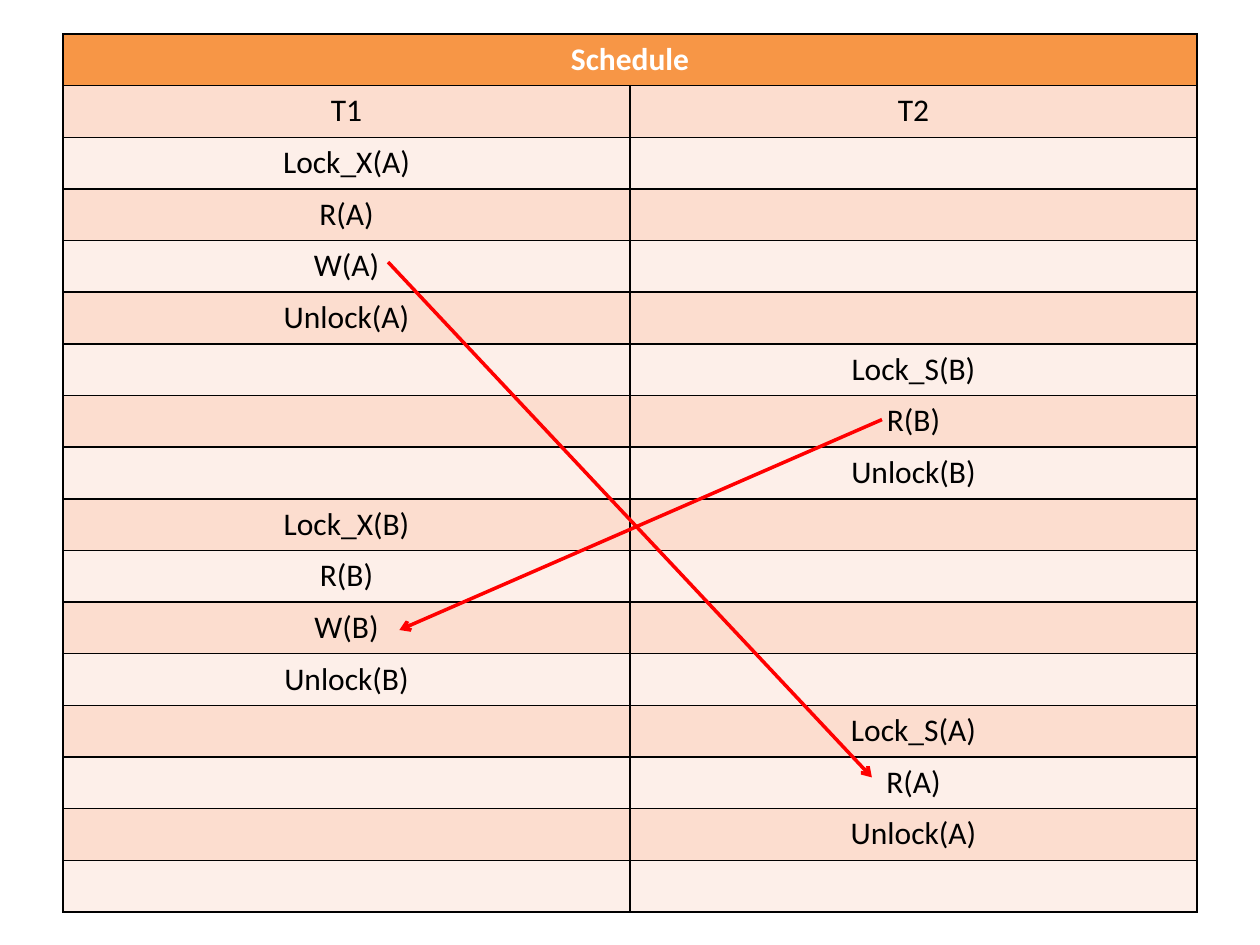
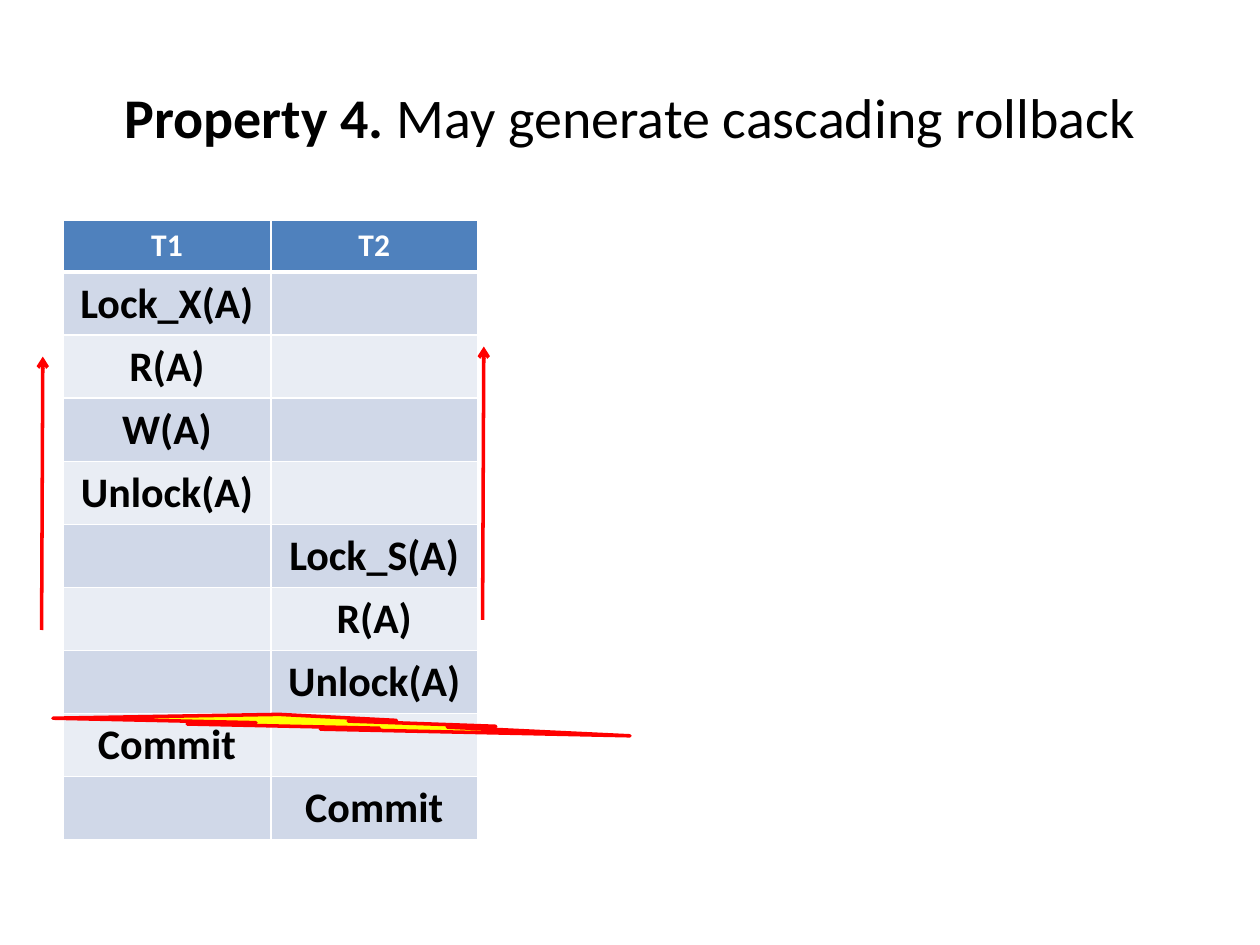
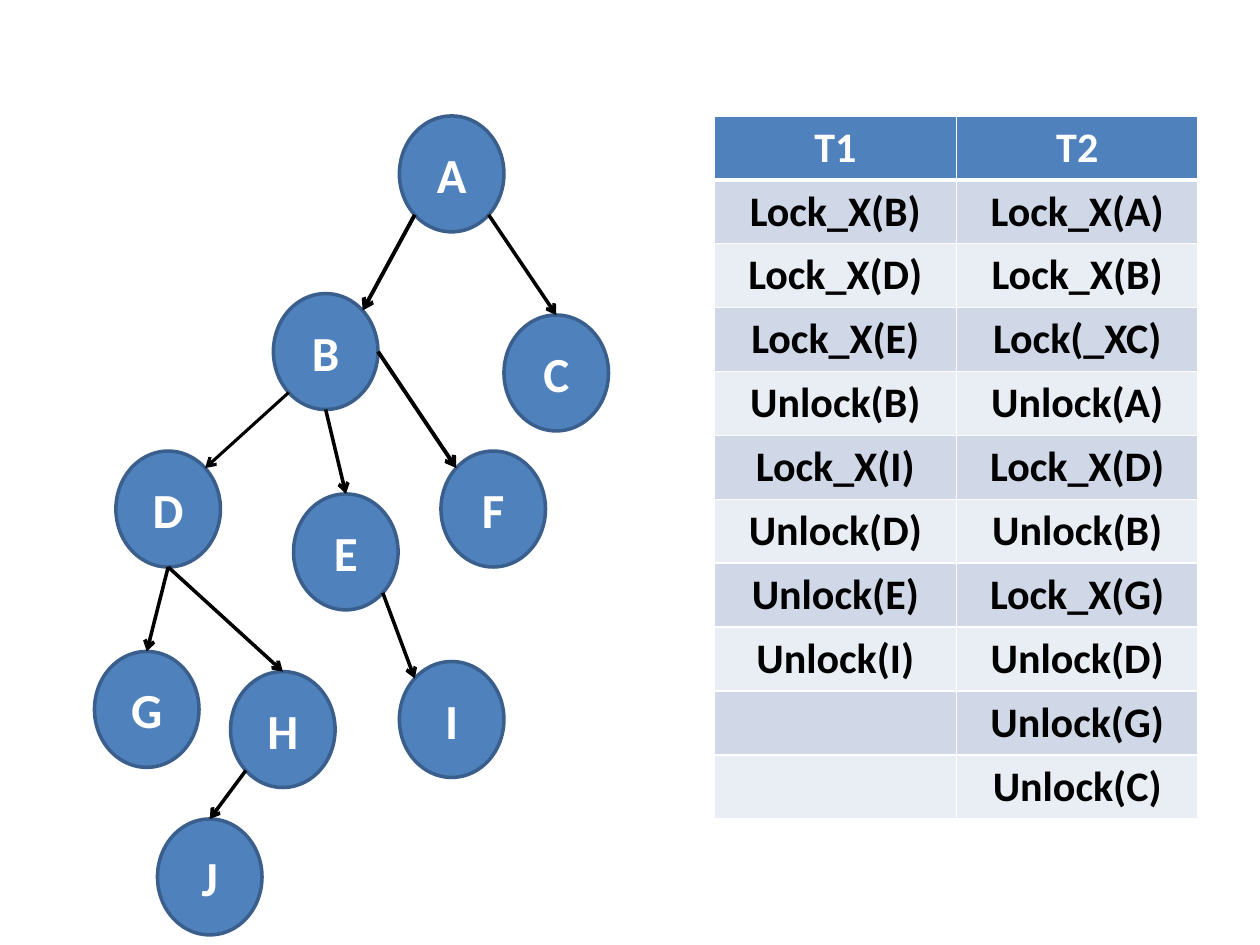
import math

import lxml.etree
import pptx
import pptx.dml.color
import pptx.enum.shapes
import pptx.enum.text
import pptx.oxml.ns
import pptx.util

Inches = pptx.util.Inches
Pt = pptx.util.Pt
Shape = pptx.enum.shapes.MSO_SHAPE
Anchor = pptx.enum.text.MSO_ANCHOR
qn = pptx.oxml.ns.qn

FONT = "Calibri"
COLORS = {
    "black": "000000",
    "white": "FFFFFF",
    "red": "FF0000",
    "yellow": "FFFF00",
    "blue": "4F81BD",
    "dark_blue": "3A5F8C",
    "blue_band": "D0D8E8",
    "blue_band_light": "E9EDF4",
    "orange": "F79646",
    "orange_band": "FCDDCF",
    "orange_band_light": "FDEFE9",
}

# Table looks: header fill, alternating body fills, border colour, line under header
ORANGE_TABLE = {"header": "orange", "bands": ("orange_band", "orange_band_light"),
                "border": "black", "header_line": 1, "bold": False}
BLUE_TABLE = {"header": "blue", "bands": ("blue_band", "blue_band_light"),
              "border": "white", "header_line": 3, "bold": True}

SCHEDULE = [
    ("Schedule", ""),
    ("T1", "T2"),
    ("Lock_X(A)", ""),
    ("R(A)", ""),
    ("W(A)", ""),
    ("Unlock(A)", ""),
    ("", "Lock_S(B)"),
    ("", "R(B)"),
    ("", "Unlock(B)"),
    ("Lock_X(B)", ""),
    ("R(B)", ""),
    ("W(B)", ""),
    ("Unlock(B)", ""),
    ("", "Lock_S(A)"),
    ("", "R(A)"),
    ("", "Unlock(A)"),
    ("", ""),
]
ROLLBACK = [
    ("T1", "T2"),
    ("Lock_X(A)", ""),
    ("R(A)", ""),
    ("W(A)", ""),
    ("Unlock(A)", ""),
    ("", "Lock_S(A)"),
    ("", "R(A)"),
    ("", "Unlock(A)"),
    ("Commit", ""),
    ("", "Commit"),
]
TREE_LOCKS = [
    ("T1", "T2"),
    ("Lock_X(B)", "Lock_X(A)"),
    ("Lock_X(D)", "Lock_X(B)"),
    ("Lock_X(E)", "Lock(_XC)"),
    ("Unlock(B)", "Unlock(A)"),
    ("Lock_X(I)", "Lock_X(D)"),
    ("Unlock(D)", "Unlock(B)"),
    ("Unlock(E)", "Lock_X(G)"),
    ("Unlock(I)", "Unlock(D)"),
    ("", "Unlock(G)"),
    ("", "Unlock(C)"),
]

# Tree nodes (left, top) and edges (parent, site, child, site, line width)
NODE_WIDTH, NODE_HEIGHT = 0.83, 0.92
NODES = {
    "A": (3.17, 0.92), "B": (2.17, 2.33), "C": (4, 2.5), "D": (0.92, 3.58),
    "E": (2.33, 3.92), "F": (3.5, 3.58), "G": (0.75, 5.17), "H": (1.83, 5.33),
    "I": (3.17, 5.25), "J": (1.25, 6.5),
}
EDGES = [
    ("A", "bottom left", "B", "top right", 2.25),
    ("B", "bottom left", "D", "top right", 1.75),
    ("D", "bottom", "G", "top", 2),
    ("B", "bottom", "E", "top", 2),
    ("A", "bottom right", "C", "top", 2),
    ("B", "right", "F", "top left", 2.25),
    ("D", "bottom", "H", "top", 2),
    ("E", "bottom right", "I", "top left", 2),
    ("H", "bottom left", "J", "top", 2),
]
SITE_ANGLES = {"right": 0, "bottom right": 45, "bottom": 90, "bottom left": 135,
               "top left": 225, "top": 270, "top right": 315}


def rgb(name):
    return pptx.dml.color.RGBColor.from_string(COLORS[name])


def add_run(para, text, size, color, bold):
    span = para.add_run()
    span.text = text
    span.font.name = FONT
    span.font.size = Pt(size)
    span.font.bold = bold
    span.font.color.rgb = rgb(color)
    para.alignment = pptx.enum.text.PP_ALIGN.CENTER


def add_title(page, *parts):
    box = page.shapes.add_textbox(Inches(0.5), Inches(0.3), Inches(9), Inches(1.25))
    frame = box.text_frame
    frame.word_wrap = True
    frame.vertical_anchor = Anchor.MIDDLE
    for text, bold in parts:
        add_run(frame.paragraphs[0], text, 32, "black", bold)


def add_shape(page, kind, left, top, width, height, fill, line):
    shape = page.shapes.add_shape(
        kind, Inches(left), Inches(top), Inches(width), Inches(height))
    shape.shadow.inherit = False
    shape.fill.solid()
    shape.fill.fore_color.rgb = rgb(fill)
    shape.line.color.rgb = rgb(line)
    shape.line.width = Pt(2)
    return shape


def add_node(page, name):
    node = add_shape(page, Shape.OVAL, *NODES[name], NODE_WIDTH, NODE_HEIGHT,
                     "blue", "dark_blue")
    node.text_frame.vertical_anchor = Anchor.MIDDLE
    add_run(node.text_frame.paragraphs[0], name, 28, "white", True)


def node_site(name, site):
    """Return the point on a node's outline in the given direction."""
    left, top = NODES[name]
    angle = math.radians(SITE_ANGLES[site])
    return (left + NODE_WIDTH / 2 * (1 + math.cos(angle)),
            top + NODE_HEIGHT / 2 * (1 + math.sin(angle)))


def add_arrow(page, start, end, color, width=2):
    arrow = page.shapes.add_connector(
        pptx.enum.shapes.MSO_CONNECTOR.STRAIGHT,
        *(Inches(length) for length in (*start, *end)))
    arrow.line.color.rgb = rgb(color)
    arrow.line.width = Pt(width)
    lxml.etree.SubElement(arrow.line._get_or_add_ln(), qn("a:tailEnd"), type="arrow")
    lxml.etree.SubElement(arrow._element.spPr, qn("a:effectLst"))


def set_borders(cell, color, top, bottom):
    properties = cell._tc.get_or_add_tcPr()
    widths = {"a:lnL": 1, "a:lnR": 1, "a:lnT": top, "a:lnB": bottom}
    for position, (tag, width) in enumerate(widths.items()):
        border = lxml.etree.Element(qn(tag), w=str(Pt(width)))
        fill = lxml.etree.SubElement(border, qn("a:solidFill"))
        lxml.etree.SubElement(fill, qn("a:srgbClr"), val=COLORS[color])
        properties.insert(position, border)


def add_schedule(page, rows, left, top, column_widths, header_height, row_height,
                 header_size, body_size, look):
    height = header_height + row_height * (len(rows) - 1)
    table = page.shapes.add_table(
        len(rows), len(column_widths), Inches(left), Inches(top),
        Inches(sum(column_widths)), Inches(height)).table
    table.first_row = table.horz_banding = False
    for column, width in zip(table.columns, column_widths):
        column.width = Inches(width)
    for row_index, texts in enumerate(rows):
        is_header = row_index == 0
        table.rows[row_index].height = Inches(header_height if is_header else row_height)
        fill = look["header"] if is_header else look["bands"][(row_index - 1) % 2]
        for column_index, text in enumerate(texts):
            cell = table.cell(row_index, column_index)
            cell.fill.solid()
            cell.fill.fore_color.rgb = rgb(fill)
            set_borders(cell, look["border"],
                        top=look["header_line"] if row_index == 1 else 1,
                        bottom=look["header_line"] if is_header else 1)
            if text:
                add_run(cell.text_frame.paragraphs[0], text,
                        header_size if is_header else body_size,
                        "white" if is_header else "black",
                        is_header or look["bold"])
    return table


def build_schedule_page(page):
    table = add_schedule(page, SCHEDULE, 0.5, 0.27, (4.5, 4.5), 0.41, 0.41,
                         18, 18, ORANGE_TABLE)
    table.cell(0, 0).merge(table.cell(0, 1))
    # Conflicting operations
    add_arrow(page, (3.08, 2.08), (6.92, 6.17), "red")
    add_arrow(page, (7, 3.33), (3.17, 5), "red")


def build_rollback_page(page):
    add_title(page, ("Property 4. ", True), ("May generate cascading rollback", False))
    add_schedule(page, ROLLBACK, 0.5, 1.75, (1.65, 1.64), 0.41, 0.5,
                 18, 24, BLUE_TABLE)
    # Failure and the rollbacks it causes
    add_shape(page, Shape.LIGHTNING_BOLT, 0.42, 5.67, 4.58, 0.17, "yellow", "red")
    add_arrow(page, (0.33, 5), (0.34, 2.83), "red")
    add_arrow(page, (3.83, 4.92), (3.84, 2.75), "red")


def build_tree_page(page):
    add_schedule(page, TREE_LOCKS, 5.67, 0.92, (1.92, 1.92), 0.5, 0.5,
                 24, 24, BLUE_TABLE)
    for name in NODES:
        add_node(page, name)
    for parent, parent_site, child, child_site, width in EDGES:
        add_arrow(page, node_site(parent, parent_site), node_site(child, child_site),
                  "black", width)


def main():
    deck = pptx.Presentation()
    deck.slide_width = Inches(10)
    deck.slide_height = Inches(7.5)
    for build_page in (build_schedule_page, build_rollback_page, build_tree_page):
        build_page(deck.slides.add_slide(deck.slide_layouts[6]))
    deck.save("out.pptx")


if __name__ == "__main__":
    main()
